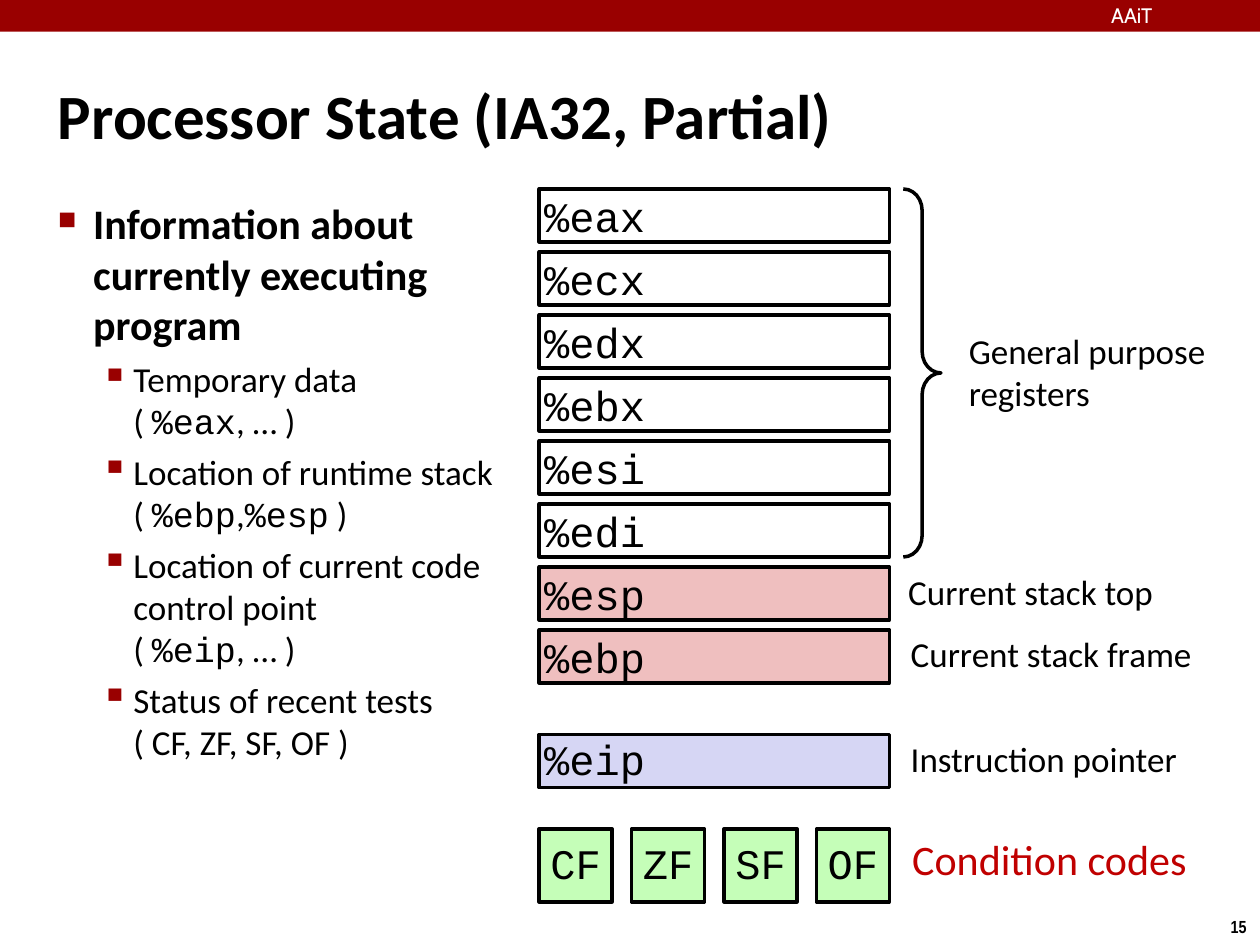
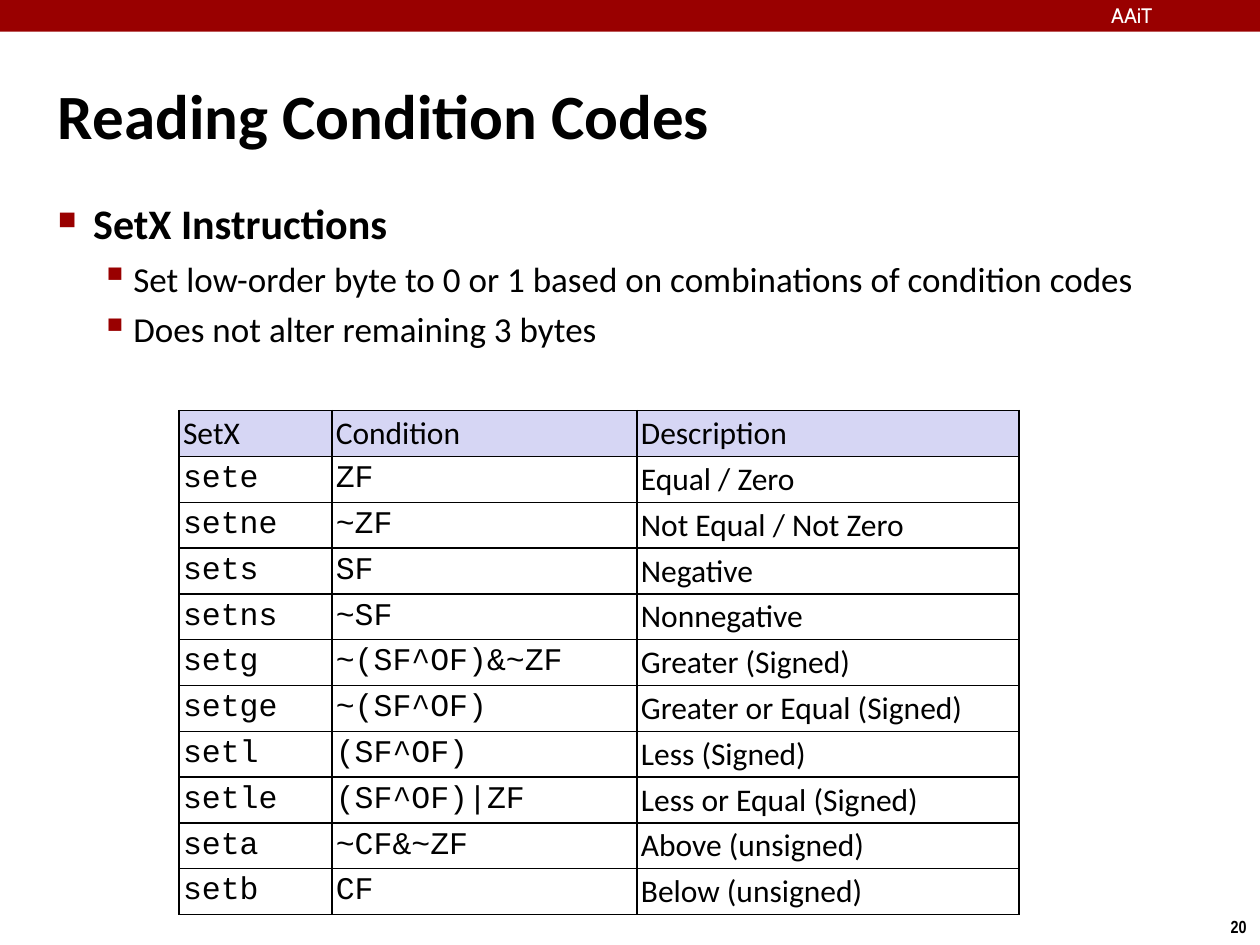
import dataclasses

import lxml.etree
import pptx
import pptx.dml.color
import pptx.enum.shapes
import pptx.enum.text
import pptx.oxml.ns
import pptx.util

Cm = pptx.util.Cm
Pt = pptx.util.Pt
Align = pptx.enum.text.PP_ALIGN
Anchor = pptx.enum.text.MSO_ANCHOR
Preset = pptx.enum.shapes.MSO_SHAPE


@dataclasses.dataclass(frozen=True)
class Theme:
    """Colours, fonts and type sizes of the deck."""

    band: str = "990000"
    ink: str = "000000"
    paper: str = "FFFFFF"
    accent: str = "C00000"
    stack: str = "EFBFBF"
    pointer: str = "D6D6F4"
    flag: str = "C5FEB8"
    sans: str = "Calibri"
    mono: str = "Courier New"
    header: str = "Cabin"
    number: str = "Arial Narrow"
    title_size: int = 36
    large: int = 24
    body_size: int = 20
    table_size: int = 18
    header_size: int = 12
    number_size: int = 10


@dataclasses.dataclass(frozen=True)
class Box:
    """A rectangle in centimetres."""

    left: float
    top: float
    width: float
    height: float

    def lengths(self):
        """Return the four sides as slide lengths."""
        return [Cm(side) for side in dataclasses.astuple(self)]


THEME = Theme()
BODY = Box(1.07, 3.89, 23.29, 15.09)
INSET = 0.1

GENERAL = ["%eax", "%ecx", "%edx", "%ebx", "%esi", "%edi"]
STACK = ["%esp", "%ebp"]
FLAGS = ["CF", "ZF", "SF", "OF"]

STATE_POINTS = [
    "Information about currently executing program",
    "Temporary data\n( `%eax`, … )",
    "Location of runtime stack\n( `%ebp`,`%esp` )",
    "Location of current code control point\n( `%eip`, … )",
    "Status of recent tests\n( CF, ZF, SF, OF )",
]
SET_POINTS = [
    "SetX Instructions",
    "Set low-order byte to 0 or 1 based on combinations of condition codes",
    "Does not alter remaining 3 bytes",
]
SET_ROWS = [
    ("SetX", "Condition", "Description"),
    ("sete", "ZF", "Equal / Zero"),
    ("setne", "~ZF", "Not Equal / Not Zero"),
    ("sets", "SF", "Negative"),
    ("setns", "~SF", "Nonnegative"),
    ("setg", "~(SF^OF)&~ZF", "Greater (Signed)"),
    ("setge", "~(SF^OF)", "Greater or Equal (Signed)"),
    ("setl", "(SF^OF)", "Less (Signed)"),
    ("setle", "(SF^OF)|ZF", "Less or Equal (Signed)"),
    ("seta", "~CF&~ZF", "Above (unsigned)"),
    ("setb", "CF", "Below (unsigned)"),
]


def colour(code):
    """Turn a hex code into a colour."""
    return pptx.dml.color.RGBColor.from_string(code)


def add_xml(parent, tag, **attributes):
    """Append a DrawingML element to a parent."""
    return lxml.etree.SubElement(parent, pptx.oxml.ns.qn(tag), attributes)


def style(span, size, font=THEME.sans, ink=THEME.ink, bold=False):
    """Format one run."""
    span.font.size = Pt(size)
    span.font.name = font
    span.font.bold = bold
    span.font.color.rgb = colour(ink)


def set_text(shape, text, size, align=Align.LEFT, anchor=Anchor.TOP,
             inset=INSET, **look):
    """Write text into a shape and format it."""
    frame = shape.text_frame
    frame.text = text
    frame.word_wrap = True
    frame.vertical_anchor = anchor
    frame.margin_left = frame.margin_right = Cm(inset)
    frame.margin_top = frame.margin_bottom = Cm(inset)
    for para in frame.paragraphs:
        para.alignment = align
        for span in para.runs:
            style(span, size, **look)


def add_label(page, box, text, size, **look):
    """Add a text box."""
    label = page.shapes.add_textbox(*box.lengths())
    set_text(label, text, size, **look)


def add_block(page, box, fill, line=THEME.ink):
    """Add a filled rectangle, outlined unless line is None."""
    block = page.shapes.add_shape(Preset.RECTANGLE, *box.lengths())
    block.shadow.inherit = False
    block.fill.solid()
    block.fill.fore_color.rgb = colour(fill)
    if line:
        block.line.color.rgb = colour(line)
        block.line.width = Pt(2)
    else:
        block.line.fill.background()
    return block


def add_page(deck, title, number):
    """Add a slide with its band, header, title and number."""
    page = deck.slides.add_slide(deck.slide_layouts[6])
    add_block(page, Box(0, 0, 25.4, 0.64), THEME.band, line=None)
    add_label(page, Box(22.4, 0.05, 3, 0.48), "AAiT", THEME.header_size,
              inset=0, font=THEME.header, ink=THEME.paper)
    add_label(page, Box(1.07, 0.71, 23.29, 3.18), title, THEME.title_size,
              anchor=Anchor.MIDDLE, bold=True)
    add_label(page, Box(24.54, 18.34, 0.86, 0.69), str(number),
              THEME.number_size, align=Align.CENTER, anchor=Anchor.MIDDLE,
              inset=0, font=THEME.number, bold=True)
    return page


def add_bullet(para, symbol, percent, margin, hang):
    """Give a paragraph a hanging bullet in the band colour."""
    properties = para._p.get_or_add_pPr()
    properties.set("marL", str(Cm(margin)))
    properties.set("indent", str(-Cm(hang)))
    tint = add_xml(properties, "a:buClr")
    add_xml(tint, "a:srgbClr", val=THEME.band)
    add_xml(properties, "a:buSzPct", val=str(percent * 1000))
    add_xml(properties, "a:buChar", char=symbol)


def add_points(page, box, points):
    """Add a bold heading point and its sub-points; backticks mark code."""
    frame = page.shapes.add_textbox(*box.lengths()).text_frame
    frame.word_wrap = True
    frame.margin_left = frame.margin_right = Cm(INSET)
    frame.margin_top = frame.margin_bottom = Cm(INSET)
    for index, point in enumerate(points):
        heading = index == 0
        para = frame.paragraphs[0] if heading else frame.add_paragraph()
        para.space_before = Pt(6 if heading else 5)
        if heading:
            add_bullet(para, "■", 60, 0.71, 0.71)
        else:
            add_bullet(para, "▪", 110, 1.52, 0.66)
        for line_index, line in enumerate(point.split("\n")):
            if line_index:
                para.add_line_break()
            for part_index, part in enumerate(line.split("`")):
                span = para.add_run()
                span.text = part
                style(span, THEME.large if heading else THEME.body_size,
                      THEME.mono if part_index % 2 else THEME.sans,
                      bold=heading)


def add_register(page, box, name, fill, align=Align.LEFT, spacing=1.0):
    """Add a register or flag with its name inside."""
    block = add_block(page, box, fill)
    set_text(block, name, THEME.large, align=align, anchor=Anchor.MIDDLE,
             font=THEME.mono)
    block.text_frame.paragraphs[0].line_spacing = spacing


def add_brace(page, box):
    """Add a right brace."""
    brace = page.shapes.add_shape(Preset.RIGHT_BRACE, *box.lengths())
    brace.shadow.inherit = False
    brace.fill.background()
    brace.line.color.rgb = colour(THEME.ink)
    brace.line.width = Pt(2)
    brace.adjustments[0] = 0.57


def add_registers(page, box):
    """Draw the registers, flags and their captions from the box's corner."""
    pitch, height, flag_size = 1.27, 1.07, 1.47
    pointer_top, flag_top = box.top + 11, box.top + 12.9
    right = box.left + box.width
    for index, name in enumerate(GENERAL + STACK):
        add_register(page,
                     Box(box.left, box.top + index * pitch, box.width, height),
                     name, THEME.stack if name in STACK else THEME.paper)
    add_register(page, Box(box.left, pointer_top, box.width, height),
                 "%eip", THEME.pointer, spacing=0.95)
    flag_pitch = (box.width - flag_size) / (len(FLAGS) - 1)
    for index, name in enumerate(FLAGS):
        add_register(page, Box(box.left + index * flag_pitch, flag_top,
                               flag_size, flag_size),
                     name, THEME.flag, align=Align.CENTER, spacing=0.95)

    brace_height = (len(GENERAL) - 1) * pitch + height
    add_brace(page, Box(right + 0.28, box.top, 0.76, brace_height))
    captions = [
        ("General purpose\nregisters", 1.5, box.top + 2.74, 5.2, 1.9),
        ("Current stack top", 0.28, box.top + 7.59, 5.4, height),
        ("Current stack frame", 0.33, box.top + 8.84, 6.1, height),
        ("Instruction pointer", 0.33, pointer_top - 0.05, 5.8, height),
    ]
    for text, gap, top, width, tall in captions:
        add_label(page, Box(right + gap, top, width, tall), text,
                  THEME.body_size)
    add_label(page, Box(right + 0.36, flag_top, 7.1, 1.24),
              "Condition codes", THEME.large, ink=THEME.accent)


def add_borders(cell):
    """Draw a thin line on each side of a cell."""
    properties = cell._tc.get_or_add_tcPr()
    for side in "LRTB":
        line = add_xml(properties, f"a:ln{side}", w=str(Pt(1)))
        add_xml(add_xml(line, "a:solidFill"), "a:srgbClr", val=THEME.ink)


def add_set_table(page, box, rows, widths):
    """Add the table of set instructions."""
    table = page.shapes.add_table(len(rows), len(widths),
                                  *box.lengths()).table
    table.first_row = table.horz_banding = False
    for column, width in zip(table.columns, widths):
        column.width = Cm(width)
    for row_index, row in enumerate(rows):
        table.rows[row_index].height = Cm(box.height / len(rows))
        for column_index, text in enumerate(row):
            cell = table.cell(row_index, column_index)
            cell.text = text
            cell.vertical_anchor = Anchor.MIDDLE
            cell.margin_left = cell.margin_right = Cm(0.08)
            cell.margin_top = cell.margin_bottom = Cm(0.08)
            code = row_index > 0 and column_index < 2
            style(cell.text_frame.paragraphs[0].runs[0], THEME.table_size,
                  THEME.mono if code else THEME.sans)
            add_borders(cell)
            if row_index == 0:
                cell.fill.solid()
                cell.fill.fore_color.rgb = colour(THEME.pointer)
            else:
                cell.fill.background()


def main():
    """Build and save the deck."""
    deck = pptx.Presentation()
    deck.slide_width, deck.slide_height = Cm(25.4), Cm(19.05)

    state = add_page(deck, "Processor State (IA32, Partial)", 15)
    add_points(state, dataclasses.replace(BODY, width=9.27), STATE_POINTS)
    add_registers(state, Box(10.87, 3.81, 7.06, 14.37))

    reading = add_page(deck, "Reading Condition Codes", 20)
    add_points(reading, BODY, SET_POINTS)
    add_set_table(reading, Box(3.61, 8.28, 16.93, 10), SET_ROWS,
                  [3.08, 6.15, 7.7])

    deck.save("out.pptx")


if __name__ == "__main__":
    main()
